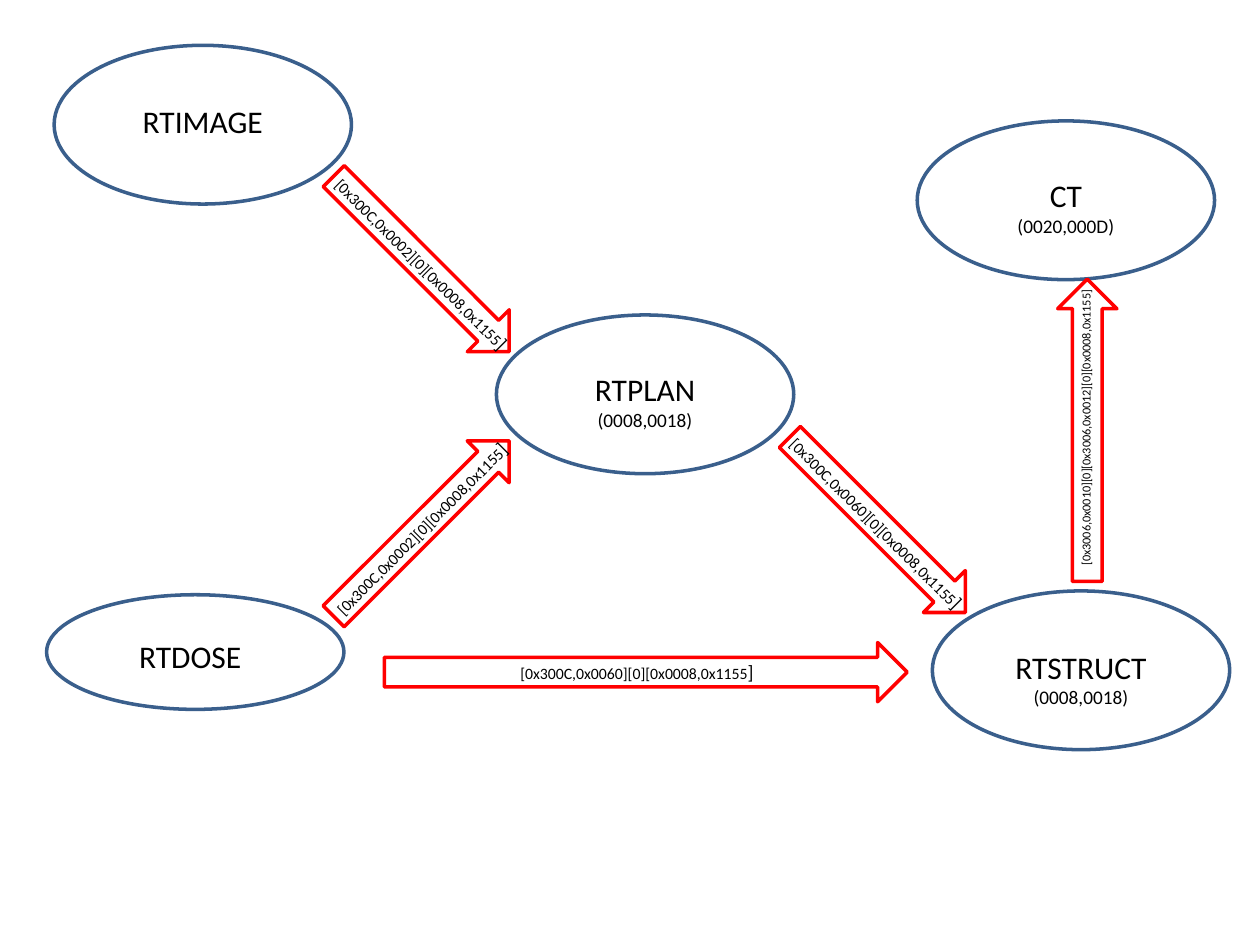
from dataclasses import dataclass

import pptx
import pptx.dml.color
import pptx.enum.shapes
import pptx.enum.text
import pptx.util

Inches = pptx.util.Inches
Shape = pptx.enum.shapes.MSO_SHAPE
Align = pptx.enum.text.PP_ALIGN

FONT = "Calibri"
BLACK, BLUE, RED = "000000", "3A5F8C", "FF0000"
NODE_WIDTH, NODE_LABEL_WIDTH = 2.36, 2.2
ARROW_HEIGHT = 0.47


@dataclass
class Node:
    left: float
    top: float
    label_top: float
    name: str
    tag: str = ""
    height: float = 1.26
    label_inset: float = 0.08


@dataclass
class Arrow:
    left: float
    top: float
    tags: str
    rotation: int = 0
    width: float = 1.97
    label_width: float = 2.08
    label_height: float = 0.29
    label_shift: tuple[float, float] = (0, 0)
    size: int = 9
    last_size: int = 11
    align: Align = Align.CENTER


NODES = [
    Node(0.43, 0.36, 0.76, "RTIMAGE"),
    Node(3.94, 2.5, 2.89, "RTPLAN", "(0008,0018)"),
    Node(0.37, 4.72, 5.01, "RTDOSE", height=0.91, label_inset=0.04),
    Node(7.28, 0.96, 1.35, "CT", "(0020,000D)"),
    Node(7.4, 4.69, 5.09, "RTSTRUCT", "(0008,0018)"),
]

PLAN_TAGS = "[0x300C,0x0002][0][0x0008,0x1155]"
STRUCT_TAGS = "[0x300C,0x0060][0][0x0008,0x1155]"
CT_TAGS = "[0x3006,0x0010][0][0x3006,0x0012][0][0x0008,0x1155]"
ARROWS = [
    Arrow(2.36, 1.86, PLAN_TAGS, 45),
    Arrow(5.98, 3.93, STRUCT_TAGS, 45, align=Align.LEFT),
    Arrow(2.36, 3.96, PLAN_TAGS, 315),
    Arrow(3.05, 5.1, STRUCT_TAGS, width=4.15, label_width=4.37,
          label_shift=(-0.07, 0)),
    Arrow(7.43, 3.18, CT_TAGS, 270, width=2.4, label_width=2.46,
          label_height=0.22, label_shift=(-0.01, -0.02), size=7, last_size=7),
]


def color(value: str) -> pptx.dml.color.RGBColor:
    return pptx.dml.color.RGBColor.from_string(value)


def add_outline(page, kind, left: float, top: float, width: float,
                height: float, line: str, rotation: int = 0) -> None:
    shape = page.shapes.add_shape(kind, Inches(left), Inches(top),
                                  Inches(width), Inches(height))
    shape.shadow.inherit = False
    shape.fill.background()
    shape.line.color.rgb = color(line)
    shape.line.width = pptx.util.Pt(2)
    shape.rotation = rotation


def add_label(page, left: float, top: float, width: float, height: float,
              rows: list[list[tuple[str, int]]], align=Align.CENTER,
              rotation: int = 0) -> None:
    """Write rows of (text, size) spans in a text box."""
    box = page.shapes.add_textbox(Inches(left), Inches(top),
                                  Inches(width), Inches(height))
    box.rotation = rotation
    frame = box.text_frame
    frame.word_wrap = True
    frame.auto_size = pptx.enum.text.MSO_AUTO_SIZE.SHAPE_TO_FIT_TEXT
    for index, row in enumerate(rows):
        para = frame.add_paragraph() if index else frame.paragraphs[0]
        para.alignment = align
        para.font.name = FONT
        para.font.color.rgb = color(BLACK)
        para.font.size = pptx.util.Pt(row[0][1])
        for text, size in row:
            span = para.add_run()
            span.text = text
            if size != row[0][1]:
                span.font.size = pptx.util.Pt(size)


def add_node(page, node: Node) -> None:
    add_outline(page, Shape.OVAL, node.left, node.top, NODE_WIDTH,
                node.height, BLUE)
    rows = [[(node.name, 18)]]
    if node.tag:
        rows.append([(node.tag, 11)])
    add_label(page, node.left + node.label_inset, node.label_top,
              NODE_LABEL_WIDTH, 0.61 if node.tag else 0.4, rows)


def add_arrow(page, arrow: Arrow) -> None:
    add_outline(page, Shape.RIGHT_ARROW, arrow.left, arrow.top, arrow.width,
                ARROW_HEIGHT, RED, arrow.rotation)
    # The label shares the arrow's centre, apart from a small shift
    shift_x, shift_y = arrow.label_shift
    left = arrow.left + (arrow.width - arrow.label_width) / 2 + shift_x
    top = arrow.top + (ARROW_HEIGHT - arrow.label_height) / 2 + shift_y
    if arrow.size == arrow.last_size:
        row = [(arrow.tags, arrow.size)]
    else:
        row = [(arrow.tags[:-1], arrow.size), (arrow.tags[-1], arrow.last_size)]
    add_label(page, left, top, arrow.label_width, arrow.label_height, [row],
              arrow.align, arrow.rotation)


deck = pptx.Presentation()
deck.slide_width, deck.slide_height = Inches(10), Inches(7.5)
page = deck.slides.add_slide(deck.slide_layouts[6])

# Objects, then the references between them
for node in NODES:
    add_node(page, node)
for arrow in ARROWS:
    add_arrow(page, arrow)

deck.save("out.pptx")
